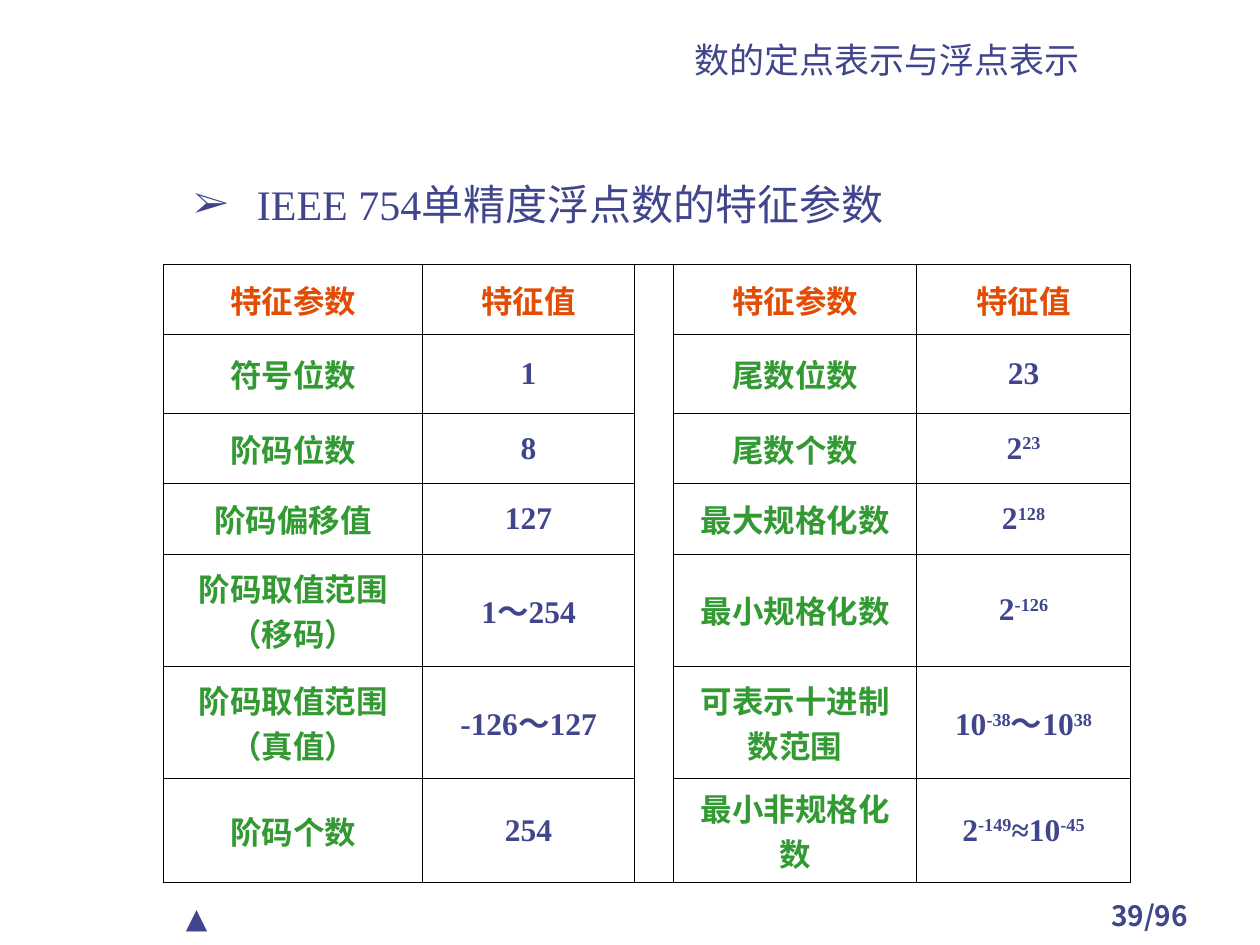
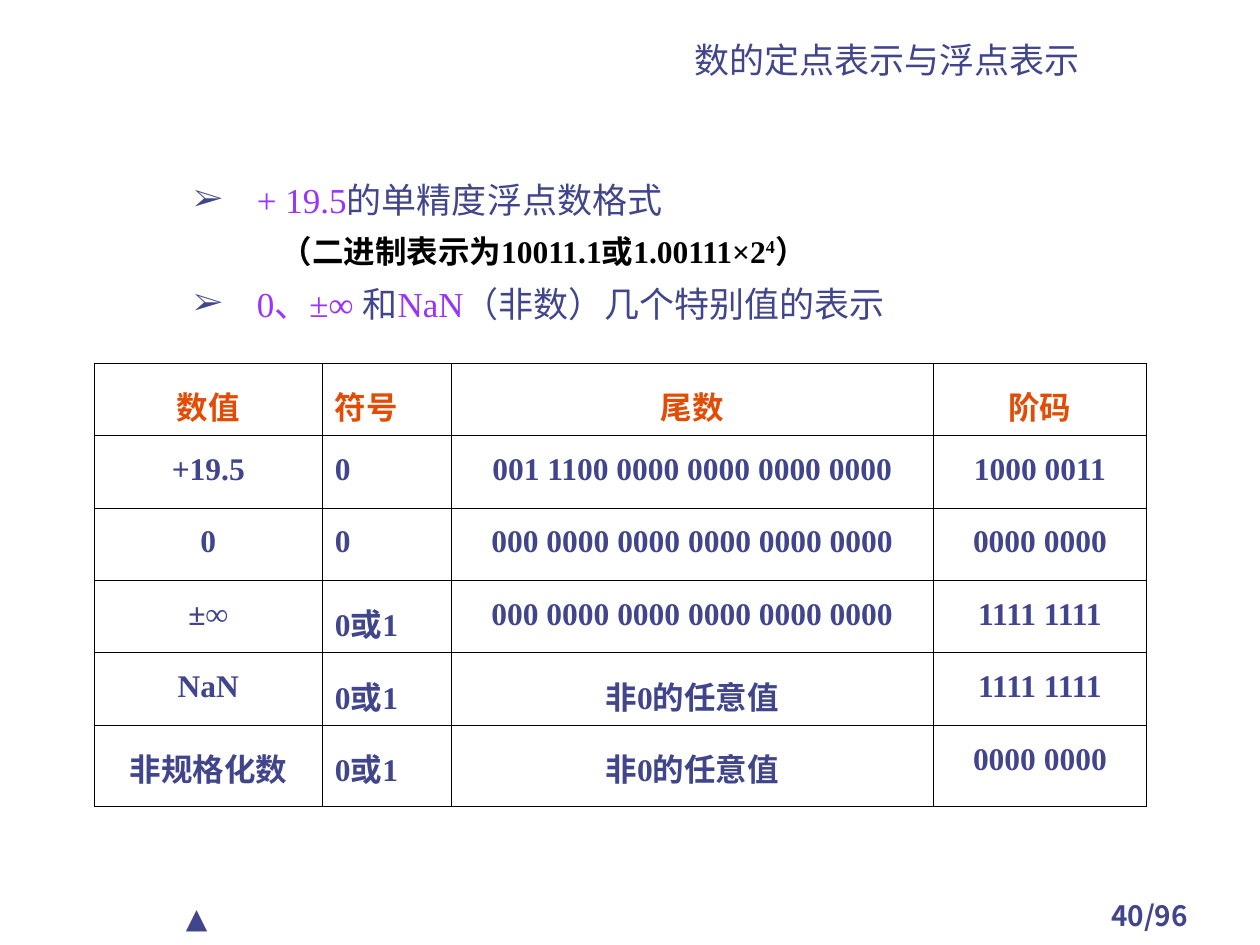
from dataclasses import dataclass

from lxml.etree import SubElement
from pptx import Presentation
from pptx.dml.color import RGBColor
from pptx.enum.text import MSO_ANCHOR as Anchor, PP_ALIGN as Align
from pptx.oxml.ns import qn
from pptx.util import Cm, Pt

INDIGO, ORANGE, GREEN, VIOLET, BLACK = "40458C", "E24C05", "339933", "9933FF", "000000"
SERIF, SANS, SYMBOL = "Times New Roman", "Noto Sans CJK SC", "Karla"
PAGE_COUNT = 96
BORDER_WIDTH = Pt(0.45)


@dataclass(frozen=True)
class Span:
    """Text of one colour; parts between ^ marks are superscript."""
    text: str
    colour: str = INDIGO
    size: float = 18
    bold: bool = False
    font: str = SERIF


@dataclass(frozen=True)
class Line:
    spans: tuple[Span, ...]
    align: Align = Align.LEFT
    level: int = 0
    left: float = 0
    hanging: float = 0
    spacing: float = 1.0
    before: float = 0
    bullet: str = ""


@dataclass(frozen=True)
class Box:
    left: float
    top: float
    width: float
    height: float
    anchor: Anchor = Anchor.TOP


@dataclass(frozen=True)
class Grid:
    left: float
    top: float
    columns: tuple[float, ...]
    rows: tuple[float, ...]


TITLE_BOX = Box(10.8, 0.67, 14.17, 1.07, Anchor.BOTTOM)
NUMBER_BOX = Box(21.37, 17.98, 3.61, 0.84)
MARKER_BOX = Box(3.5, 18.03, 3.61, 0.94)


def rgb(colour: str) -> RGBColor:
    return RGBColor.from_string(colour)


def add_span(paragraph, span: Span) -> None:
    for index, part in enumerate(span.text.split("^")):
        if not part:
            continue
        run = paragraph.add_run()
        run.text = part
        font = run.font
        font.name, font.size, font.bold = span.font, Pt(span.size), span.bold
        font.color.rgb = rgb(span.colour)
        properties = run._r.get_or_add_rPr()
        SubElement(properties, qn("a:ea")).set("typeface", SANS)
        if index % 2:
            properties.set("baseline", "30000")


def write_line(paragraph, line: Line) -> None:
    paragraph.alignment = line.align
    paragraph.level = line.level
    paragraph.line_spacing = line.spacing
    paragraph.space_before = Pt(line.before)
    properties = paragraph._p.get_or_add_pPr()
    properties.set("marL", str(Cm(line.left)))
    properties.set("indent", str(-Cm(line.hanging)))
    if line.bullet:
        colour = SubElement(properties, qn("a:buClr"))
        SubElement(colour, qn("a:srgbClr")).set("val", INDIGO)
        SubElement(properties, qn("a:buSzPct")).set("val", "90000")
        SubElement(properties, qn("a:buFont")).set("typeface", SERIF)
        SubElement(properties, qn("a:buChar")).set("char", line.bullet)
    else:
        SubElement(properties, qn("a:buNone"))
    for span in line.spans:
        add_span(paragraph, span)


def add_text(slide, box: Box, *lines: Line) -> None:
    shape = slide.shapes.add_textbox(Cm(box.left), Cm(box.top), Cm(box.width), Cm(box.height))
    frame = shape.text_frame
    frame.word_wrap = True
    frame.vertical_anchor = box.anchor
    for index, line in enumerate(lines):
        write_line(frame.add_paragraph() if index else frame.paragraphs[0], line)


def style_cell(cell, anchor: Anchor) -> None:
    cell.vertical_anchor = anchor
    properties = cell._tc.get_or_add_tcPr()
    for side in ("lnL", "lnR", "lnT", "lnB"):
        border = SubElement(properties, qn(f"a:{side}"))
        border.set("w", str(BORDER_WIDTH))
        fill = SubElement(border, qn("a:solidFill"))
        SubElement(fill, qn("a:srgbClr")).set("val", BLACK)
    cell.fill.background()


def add_grid(slide, grid: Grid, anchor: Anchor):
    frame = slide.shapes.add_table(
        len(grid.rows), len(grid.columns), Cm(grid.left), Cm(grid.top),
        Cm(sum(grid.columns)), Cm(sum(grid.rows)))
    table = frame.table
    table.first_row = table.horz_banding = False
    for column, width in zip(table.columns, grid.columns):
        column.width = Cm(width)
    for row, height in zip(table.rows, grid.rows):
        row.height = Cm(height)
    for cell in table.iter_cells():
        style_cell(cell, anchor)
    return table


def add_page(presentation, number: int):
    """Add a slide with the shared title, page number and corner marker."""
    slide = presentation.slides.add_slide(presentation.slide_layouts[6])
    add_text(slide, NUMBER_BOX, Line(
        (Span(f"{number}/{PAGE_COUNT}", size=16, bold=True, font=SANS),), Align.CENTER))
    add_text(slide, MARKER_BOX, Line((Span("▲", size=16, font=SYMBOL),), before=10))
    add_text(slide, TITLE_BOX, Line(
        (Span("数的定点表示与浮点表示", size=20, font=SANS),), Align.CENTER))
    return slide


def bullet_line(*spans: Span, before: float) -> Line:
    return Line(spans, level=1, left=3.03, hanging=1.27, spacing=1.1, before=before, bullet="➢")


PARAMETER_GRID = Grid(3.3, 5.33, (5.22, 4.27, 0.79, 4.9, 4.31),
                      (1.42, 1.58, 1.42, 1.42, 2.26, 2.26, 2.1))
GAP_COLUMN = 2
PARAMETERS = (
    ("特征参数", "特征值", "", "特征参数", "特征值"),
    ("符号位数", "1", "", "尾数位数", "23"),
    ("阶码位数", "8", "", "尾数个数", "2^23"),
    ("阶码偏移值", "127", "", "最大规格化数", "2^128"),
    ("阶码取值范围（移码）", "1～254", "", "最小规格化数", "2^-126"),
    ("阶码取值范围（真值）", "-126～127", "", "可表示十进制数范围", "10^-38^～10^38"),
    ("阶码个数", "254", "", "最小非规格化数", "2^-149^≈10^-45"),
)

ENCODING_GRID = Grid(1.9, 7.32, (4.6, 2.59, 9.73, 4.29), (1.46,) * 5 + (1.63,))
SIGN_COLUMN = 1
ENCODINGS = (
    ("数值", "符号", "尾数", "阶码"),
    ("+19.5", "0", "001 1100 0000 0000 0000 0000", "1000 0011"),
    ("0", "0", "000 0000 0000 0000 0000 0000", "0000 0000"),
    ("±∞", "0或1", "000 0000 0000 0000 0000 0000", "1111 1111"),
    ("NaN", "0或1", "非0的任意值", "1111 1111"),
    ("非规格化数", "0或1", "非0的任意值", "0000 0000"),
)


def build_parameter_slide(presentation) -> None:
    slide = add_page(presentation, 39)
    add_text(slide, Box(1.9, 3.38, 21.59, 1.73),
             bullet_line(Span("IEEE 754单精度浮点数的特征参数", size=24), before=6))
    table = add_grid(slide, PARAMETER_GRID, Anchor.MIDDLE)
    table.cell(0, GAP_COLUMN).merge(table.cell(len(PARAMETERS) - 1, GAP_COLUMN))
    for row, texts in enumerate(PARAMETERS):
        for column, text in enumerate(texts):
            if column == GAP_COLUMN:
                continue
            is_name = column in (0, GAP_COLUMN + 1)
            colour = ORANGE if row == 0 else GREEN if is_name else INDIGO
            paragraph = table.cell(row, column).text_frame.paragraphs[0]
            write_line(paragraph, Line((Span(text, colour, bold=True),), Align.CENTER))


def build_encoding_slide(presentation) -> None:
    slide = add_page(presentation, 40)
    add_text(
        slide, Box(1.9, 3.38, 21.59, 3.73),
        bullet_line(Span("+ 19.5", VIOLET, 20), Span("的单精度浮点数格式", size=20), before=5),
        Line((Span("（二进制表示为10011.1或1.00111×2^4^）", BLACK, bold=True),),
             level=2, left=4.78, hanging=1.27, spacing=1.1, before=4.5),
        bullet_line(Span("0、±∞ ", VIOLET, 20), Span("和", size=20), Span("NaN", VIOLET, 20),
                    Span("（非数）几个特别值的表示", size=20), before=5))
    table = add_grid(slide, ENCODING_GRID, Anchor.TOP)
    for row, texts in enumerate(ENCODINGS):
        for column, text in enumerate(texts):
            colour = INDIGO if row else ORANGE
            align = Align.LEFT if column == SIGN_COLUMN else Align.CENTER
            paragraph = table.cell(row, column).text_frame.paragraphs[0]
            write_line(paragraph, Line((Span(text, colour, bold=True),), align,
                                       left=1.24, hanging=1.24, spacing=1.3))


def main() -> None:
    presentation = Presentation()
    presentation.slide_width, presentation.slide_height = Cm(25.4), Cm(19.05)
    build_parameter_slide(presentation)
    build_encoding_slide(presentation)
    presentation.save("out.pptx")


if __name__ == "__main__":
    main()
